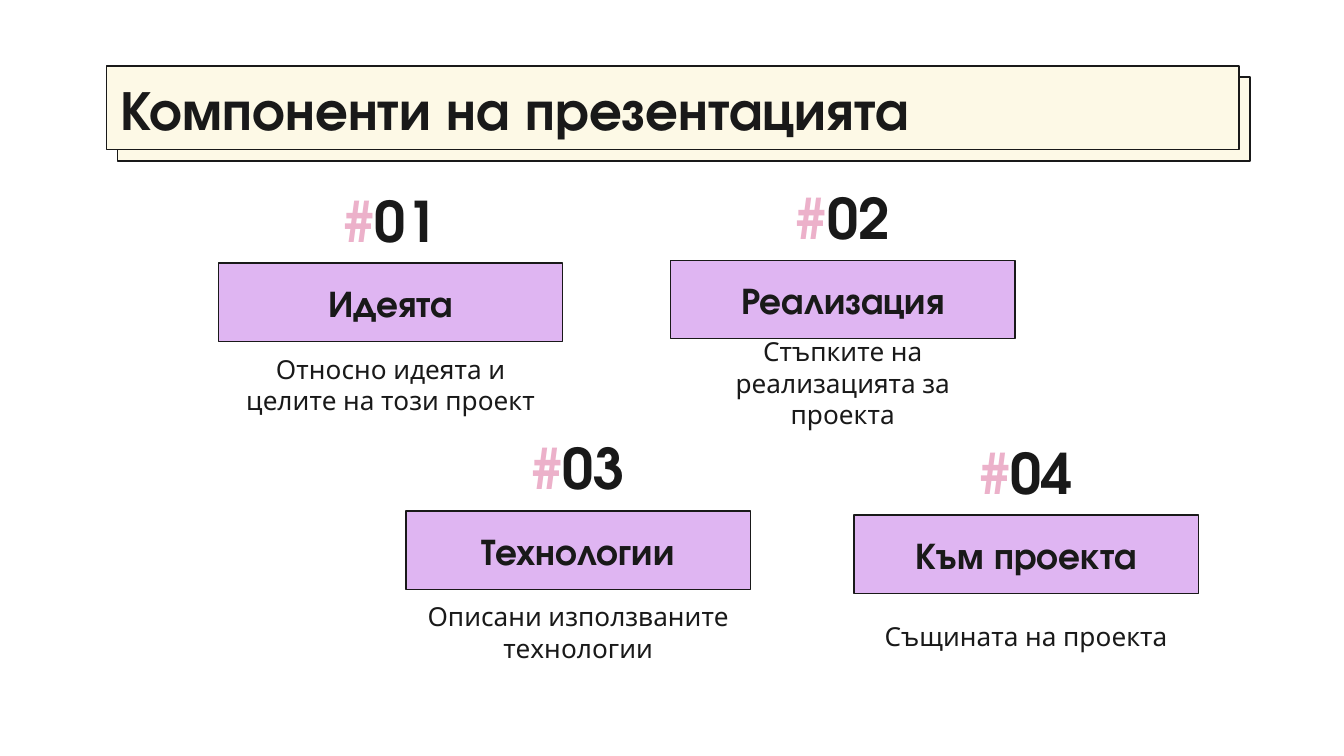
from dataclasses import dataclass

from pptx import Presentation
from pptx.dml.color import RGBColor
from pptx.enum.shapes import MSO_SHAPE
from pptx.enum.text import MSO_ANCHOR, MSO_AUTO_SIZE, PP_ALIGN
from pptx.util import Pt

PX = 9525
MARGIN = 10


@dataclass(frozen=True)
class Theme:
    """Colours, fonts and type sizes of the deck."""
    ink: str = "191919"
    cream: str = "FDF9E6"
    lilac: str = "DFB5F2"
    pink: str = "ECB1CA"
    paper: str = "FFFFFF"
    head_font: str = "TeX Gyre Adventor"
    body_font: str = "League Spartan"
    title: int = 30
    number: int = 30
    heading: int = 20
    body: int = 14


THEME = Theme()


def rgb(value):
    """Return the colour for a hex string."""
    return RGBColor.from_string(value)


def place(sp, x, y, w, h):
    """Move and size a shape in px."""
    sp.left, sp.top, sp.width, sp.height = (v * PX for v in (x, y, w, h))


def style_box(sp, color):
    """Give a shape a flat fill and a thin ink outline."""
    sp.fill.solid()
    sp.fill.fore_color.rgb = rgb(color)
    sp.line.color.rgb = rgb(THEME.ink)
    sp.line.width = Pt(0.75)


def add_box(s, box, color):
    """Add an outlined rectangle."""
    sp = s.shapes.add_shape(MSO_SHAPE.RECTANGLE, *(v * PX for v in box))
    sp.shadow.inherit = False
    style_box(sp, color)
    return sp


def add_label(s, box):
    """Add an empty text box."""
    return s.shapes.add_textbox(*(v * PX for v in box))


def write(sp, runs, size, font=THEME.head_font, bold=True, align=PP_ALIGN.CENTER):
    """Write one paragraph of (text, colour) runs into a shape."""
    tf = sp.text_frame
    tf.word_wrap = True
    tf.auto_size = MSO_AUTO_SIZE.NONE
    tf.vertical_anchor = MSO_ANCHOR.MIDDLE
    tf.margin_left = tf.margin_right = MARGIN * PX
    tf.margin_top = tf.margin_bottom = MARGIN * PX
    p = tf.paragraphs[0]
    p.alignment = align
    p.font.name, p.font.size, p.font.bold = font, Pt(size), bold
    for text, color in runs:
        r = p.add_run()
        r.text = text
        r.font.color.rgb = rgb(color)


def add_title(s, box, text):
    """Place the title bar over its offset twin."""
    x, y, w, h = box
    title = s.shapes.title
    back = add_box(s, (x + 8, y + 8, w, h), THEME.cream)
    title._element.addprevious(back._element)
    place(title, *box)
    style_box(title, THEME.cream)
    write(title, [(text, THEME.ink)], THEME.title, align=PP_ALIGN.LEFT)


def add_item(s, box, number, heading, text, text_top):
    """Stack a number, a heading bar and a description in the box."""
    x, y, w, h = box
    num_w, num_h, bar_h = 134, 62, 56
    label = add_label(s, (x + (w - num_w) // 2, y, num_w, num_h))
    write(label, [("#", THEME.pink), (f"{number:02}", THEME.ink)], THEME.number)
    bar = add_box(s, (x, y + num_h, w, bar_h), THEME.lilac)
    write(bar, [(heading, THEME.ink)], THEME.heading)
    body = add_label(s, (x, y + text_top, w, h - text_top))
    write(body, [(text, THEME.ink)], THEME.body, THEME.body_font, False)


def main():
    """Build the contents slide."""
    prs = Presentation()
    prs.slide_width, prs.slide_height = 960 * PX, 540 * PX
    s = prs.slides.add_slide(prs.slide_layouts[5])
    s.background.fill.solid()
    s.background.fill.fore_color.rgb = rgb(THEME.paper)
    add_title(s, (76, 47, 809, 60), "Компоненти на презентацията")
    items = [
        (156, 126, "Идеята", "Относно идеята и целите на този проект", 123),
        (479, 124, "Реализация", "Стъпките на реализацията за проекта", 124),
        (290, 303, "Технологии", "Описани използваните технологии", 123),
        (610, 306, "Към проекта", "Същината на проекта", 123),
    ]
    for number, (x, y, heading, text, text_top) in enumerate(items, 1):
        add_item(s, (x, y, 246, text_top + 51), number, heading, text, text_top)
    prs.save("out.pptx")


if __name__ == "__main__":
    main()
